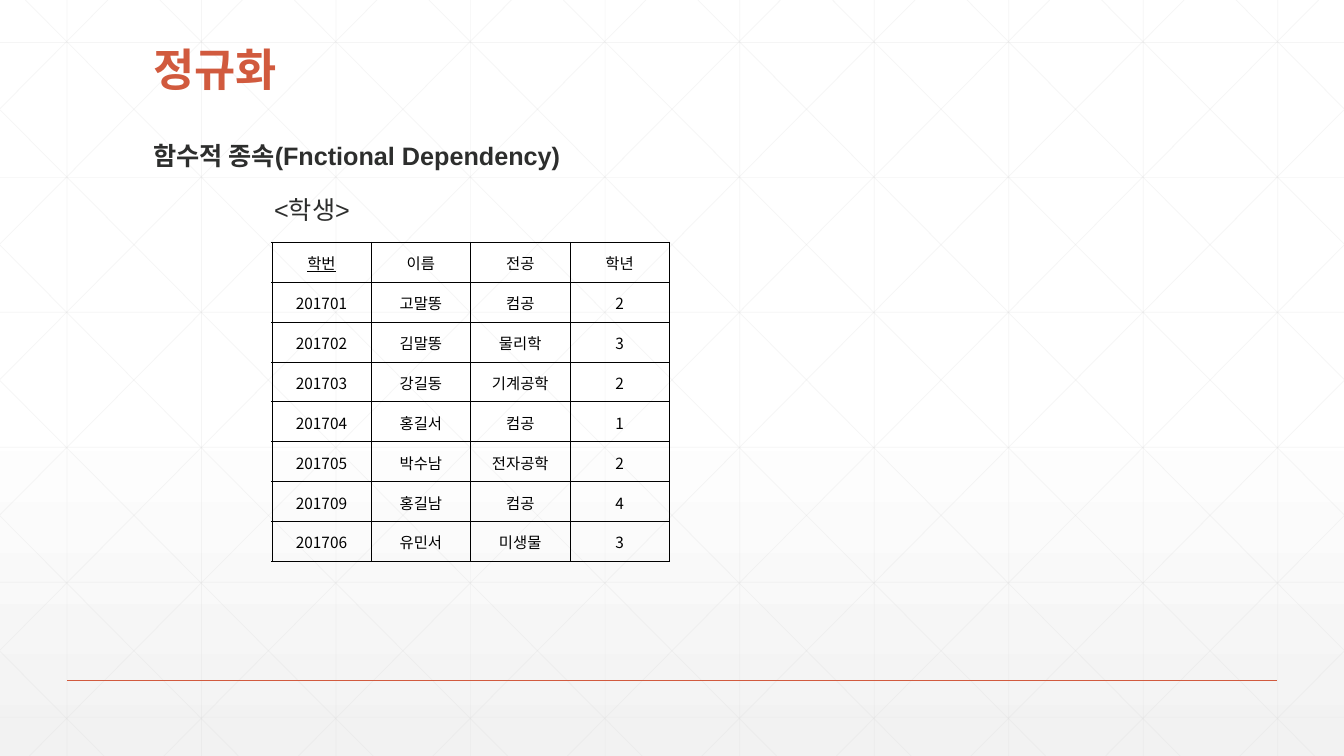
from lxml.etree import SubElement as Sub
from pptx import Presentation
from pptx.dml.color import RGBColor
from pptx.enum.shapes import MSO_CONNECTOR as Kind
from pptx.enum.text import MSO_ANCHOR as Anchor, PP_ALIGN as Align
from pptx.oxml.ns import qn
from pptx.util import Cm, Pt

TITLE = "정규화"
TOPIC = "함수적 종속(Fnctional Dependency)"
LABEL = "<학생>"
ROWS = [
    ("학번", "이름", "전공", "학년"),
    ("201701", "고말똥", "컴공", "2"),
    ("201702", "김말똥", "물리학", "3"),
    ("201703", "강길동", "기계공학", "2"),
    ("201704", "홍길서", "컴공", "1"),
    ("201705", "박수남", "전자공학", "2"),
    ("201709", "홍길남", "컴공", "4"),
    ("201706", "유민서", "미생물", "3"),
]
RED, DARK, BLACK, GRAY = "D15A3E", "2D2E2D", "000000", "D9D9D9"
WIDE, HIGH = 33.87, 19.05
STEP, RUN = 3.39, 18.93
LEFT = 3.61


def color(code):
    return RGBColor.from_string(code)


def line(x1, y1, x2, y2, code, size, alpha=100):
    rule = slide.shapes.add_connector(
        Kind.STRAIGHT, Cm(x1), Cm(y1), Cm(x2), Cm(y2))
    rule.line.width = Pt(size)
    rule.line.color.rgb = color(code)
    props = rule._element.spPr
    if alpha < 100:
        tint = props.find(".//" + qn("a:srgbClr"))
        Sub(tint, qn("a:alpha"), val=str(alpha * 1000))
    Sub(props, qn("a:effectLst"))


def mesh(x1, y1, x2, y2):
    line(x1, y1, x2, y2, GRAY, 0.5, 25)


def style(para, size, code, bold=False, name="Arial"):
    font = para.font
    font.size, font.bold, font.name = Pt(size), bold, name
    font.color.rgb = color(code)


def box(top, width, height, anchor):
    frame = slide.shapes.add_textbox(
        Cm(LEFT), Cm(top), Cm(width), Cm(height)).text_frame
    frame.word_wrap = True
    frame.vertical_anchor = anchor
    return frame


def border(cell):
    props = cell._tc.get_or_add_tcPr()
    for at, side in enumerate(("lnL", "lnR", "lnT", "lnB")):
        edge = props.makeelement(qn("a:" + side), {"w": str(Pt(0.5))})
        fill = Sub(edge, qn("a:solidFill"))
        Sub(fill, qn("a:srgbClr"), val=BLACK)
        props.insert(at, edge)


deck = Presentation()
deck.slide_width, deck.slide_height = Cm(WIDE), Cm(HIGH)
slide = deck.slides.add_slide(deck.slide_layouts[6])

back = slide.background.fill
back.gradient()
back.gradient_angle = 270
for stop, (place, code) in zip(
        back.gradient_stops, ((0.53, "FFFFFF"), (1, "F2F2F2"))):
    stop.position = place
    stop.color.rgb = color(code)

for i in range(10):
    x = 1.69 + i * STEP
    mesh(x, 0, x, HIGH)
for i in range(6):
    y = 1.07 + i * 3.4
    mesh(0, y, WIDE, y)
for i in range(-5, 10):
    x = 0.64 + i * STEP
    x1, x2 = max(x, 0), min(x + RUN, WIDE)
    y1, y2 = ((end - x) * HIGH / RUN for end in (x1, x2))
    mesh(x1, y1, x2, y2)
    mesh(WIDE - x1, y1, WIDE - x2, y2)
line(1.69, 17.15, 32.18, 17.15, RED, 1)

head = box(0.99, 26.67, 1.55, Anchor.BOTTOM).paragraphs[0]
head.text, head.line_spacing = TITLE, 0.9
style(head, 32, RED, True)

body = box(3.4, 29.39, 2.57, Anchor.TOP)
topic, label = body.paragraphs[0], body.add_paragraph()
topic.text, label.text = TOPIC, LABEL
style(topic, 18, DARK, True)
style(label, 18, DARK)
label.space_before = Pt(17.5)
label._p.get_or_add_pPr().set("marL", str(Cm(3.05)))

table = slide.shapes.add_table(
    len(ROWS), len(ROWS[0]), Cm(6.85), Cm(6.1), Cm(10.02), Cm(8.05)).table
table.first_row = table.horz_banding = False
for r, row in enumerate(ROWS):
    for c, word in enumerate(row):
        cell = table.cell(r, c)
        cell.text = word
        cell.fill.background()
        cell.vertical_anchor = Anchor.MIDDLE
        cell.margin_left = cell.margin_right = cell.margin_top = Cm(0.03)
        cell.margin_bottom = 0
        para = cell.text_frame.paragraphs[0]
        para.alignment = Align.CENTER
        style(para, 11, BLACK, name="Noto Sans CJK KR")
        para.font.underline = r == c == 0
        border(cell)

deck.save("out.pptx")
